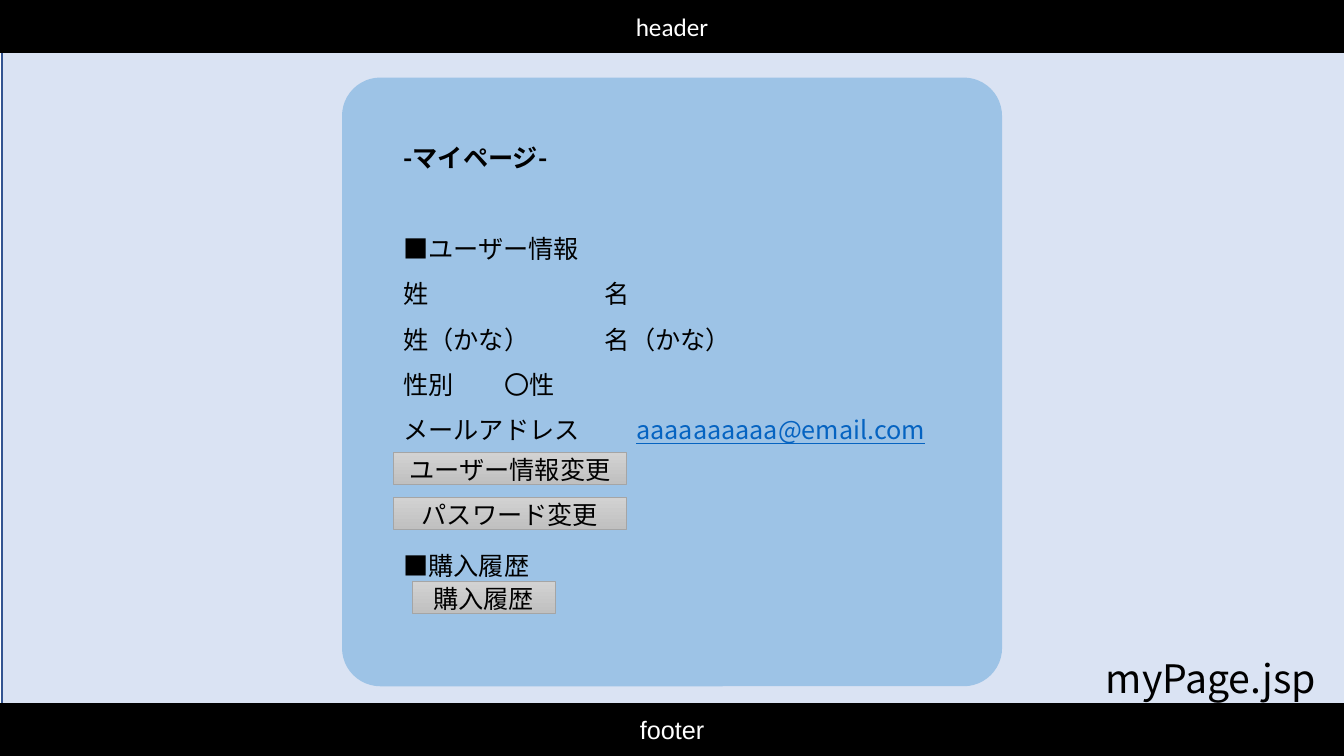
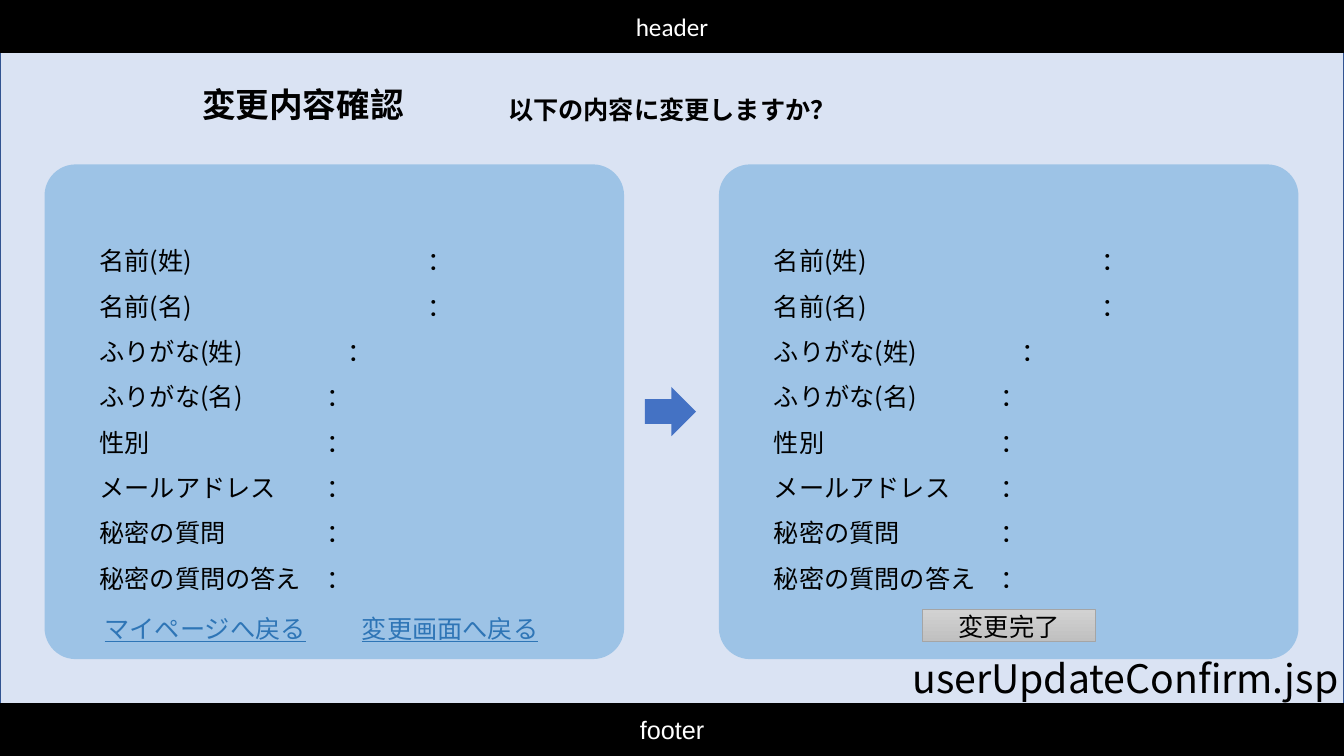
"""Build two screen mock-ups: the member page and the update confirmation page."""
from dataclasses import dataclass

from lxml import etree
from pptx import Presentation
from pptx.dml.color import RGBColor
from pptx.enum.shapes import MSO_SHAPE
from pptx.enum.text import MSO_ANCHOR, PP_ALIGN
from pptx.oxml.ns import qn
from pptx.util import Pt

RECT = MSO_SHAPE.RECTANGLE
ROUNDED = MSO_SHAPE.ROUNDED_RECTANGLE
ARROW = MSO_SHAPE.RIGHT_ARROW
LEFT, CENTER = PP_ALIGN.LEFT, PP_ALIGN.CENTER
TOP, MIDDLE = MSO_ANCHOR.TOP, MSO_ANCHOR.MIDDLE

BLACK, WHITE = "000000", "FFFFFF"
BACKDROP, BACKDROP_LINE, PANEL = "DAE3F3", "325491", "9DC3E6"
BUTTON_STOPS, BUTTON_LINE = ("D2D2D2", "C0C0C0"), "A5A5A5"
MAIL_LINK, PAGE_LINK, ACCENT = "0563C1", "2E75B6", "4472C4"
FONT = "Noto Sans CJK JP"

WIDTH, HEIGHT, BAND = 960, 540, 37.5
BODY = 18
ROW_PITCH = 32.4
BUTTON_HEIGHT = 23


@dataclass(frozen=True)
class Box:
    x: float
    y: float
    w: float
    h: float


@dataclass(frozen=True)
class Style:
    size: float = BODY
    color: str = BLACK
    bold: bool = False
    underline: bool = False
    font: str = FONT


@dataclass(frozen=True)
class Row:
    label: str
    tab: float = 0
    value: str = ""
    style: Style = Style()
    value_style: Style = Style()
    before: float = 0


@dataclass(frozen=True)
class Label:
    text: str
    box: Box
    style: Style = Style()
    align: PP_ALIGN = CENTER


PLAIN = Style()
HEADING = Style(bold=True)
TITLE = Style(size=24, bold=True)
FILE_NAME = Style(size=28)
LINK = Style(color=PAGE_LINK, underline=True)

PROFILE_ROWS = (
    Row("-マイページ-", style=HEADING),
    Row("■ユーザー情報", before=ROW_PITCH),
    Row("姓", 144, "名"),
    Row("姓（かな）", 144, "名（かな）"),
    Row("性別", 72, "〇性"),
    Row("メールアドレス", 166.5, "aaaaaaaaaa@email.com",
        value_style=Style(color=MAIL_LINK, underline=True)),
    Row("■購入履歴", before=2 * ROW_PITCH),
)
CONFIRM_ROWS = tuple(
    Row(label, tab, "：")
    for label, tab in (
        ("名前(姓)", 234),
        ("名前(名)", 234),
        ("ふりがな(姓)", 177),
        ("ふりがな(名)", 162),
        ("性別", 162),
        ("メールアドレス", 162),
        ("秘密の質問", 162),
        ("秘密の質問の答え", 162),
    )
)
PROFILE_BUTTONS = (
    Label("ユーザー情報変更", Box(281, 323.2, 166.5, BUTTON_HEIGHT)),
    Label("パスワード変更", Box(281, 355.2, 166.5, BUTTON_HEIGHT)),
    Label("購入履歴", Box(294.5, 415.4, 102, BUTTON_HEIGHT)),
)
CONFIRM_LABELS = (
    Label("変更内容確認", Box(31.7, 56.4, 369.4, 36), TITLE),
    Label("以下の内容に変更しますか？", Box(354, 63.5, 252, 29), HEADING),
    Label("マイページへ戻る", Box(64, 434.2, 165, 29), LINK),
    Label("変更画面へ戻る", Box(239, 434.2, 165, 29), LINK),
)


def rgb(value: str) -> RGBColor:
    """Turn a hex string into a colour."""
    return RGBColor.from_string(value)


def place(box: Box) -> tuple:
    """Give a box as lengths in points."""
    return Pt(box.x), Pt(box.y), Pt(box.w), Pt(box.h)


def format_run(r, style: Style) -> None:
    """Apply a text style to a run, East Asian font included."""
    font = r.font
    font.name, font.size = style.font, Pt(style.size)
    font.bold, font.underline = style.bold, style.underline
    font.color.rgb = rgb(style.color)
    ea = etree.Element(qn("a:ea"), typeface=style.font)
    r._r.get_or_add_rPr().find(qn("a:latin")).addnext(ea)


def add_tab(p, position: float) -> None:
    """Add a left tab stop to a paragraph."""
    tabs = etree.SubElement(p._p.get_or_add_pPr(), qn("a:tabLst"))
    etree.SubElement(tabs, qn("a:tab"), pos=str(Pt(position)), algn="l")


def add_figure(s, kind: MSO_SHAPE, box: Box, fill: str, line: str = ""):
    """Draw a flat shape with an optional outline."""
    sp = s.shapes.add_shape(kind, *place(box))
    sp.shadow.inherit = False
    sp.fill.solid()
    sp.fill.fore_color.rgb = rgb(fill)
    if line:
        sp.line.color.rgb = rgb(line)
        sp.line.width = Pt(1)
    else:
        sp.line.fill.background()
    return sp


def set_caption(sp, text: str, style: Style) -> None:
    """Centre one line of text in a shape."""
    tf = sp.text_frame
    tf.text, tf.vertical_anchor = text, MIDDLE
    p = tf.paragraphs[0]
    p.alignment = CENTER
    format_run(p.runs[0], style)


def add_panel(s, box: Box) -> None:
    """Draw a rounded content panel."""
    add_figure(s, ROUNDED, box, PANEL).adjustments[0] = 0.063


def add_button(s, label: Label) -> None:
    """Draw a grey gradient button."""
    sp = add_figure(s, RECT, label.box, BUTTON_STOPS[0], BUTTON_LINE)
    sp.line.width = Pt(0.5)
    sp.fill.gradient()
    sp.fill.gradient_angle = 270
    for stop, color in zip(sp.fill.gradient_stops, BUTTON_STOPS):
        stop.color.rgb = rgb(color)
    set_caption(sp, label.text, label.style)
    tf = sp.text_frame
    tf.margin_top = tf.margin_bottom = 0
    tf.paragraphs[0].line_spacing = Pt(BUTTON_HEIGHT)


def add_text(s, box: Box):
    """Add a wrapping text box and return its frame."""
    tf = s.shapes.add_textbox(*place(box)).text_frame
    tf.word_wrap, tf.vertical_anchor = True, TOP
    return tf


def add_label(s, label: Label):
    """Add one line of free text and return its frame."""
    tf = add_text(s, label.box)
    tf.text = label.text
    p = tf.paragraphs[0]
    p.alignment = label.align
    p.line_spacing = Pt(1.2 * label.style.size)
    format_run(p.runs[0], label.style)
    return tf


def add_rows(s, box: Box, rows: tuple[Row, ...]) -> None:
    """Write label and value rows aligned by tab stops."""
    tf = add_text(s, box)
    for i, row in enumerate(rows):
        p = tf.add_paragraph() if i else tf.paragraphs[0]
        p.text = f"{row.label}\t" if row.value else row.label
        p.line_spacing = Pt(ROW_PITCH)
        if row.before:
            p.space_before = Pt(row.before)
        format_run(p.runs[0], row.style)
        if row.value:
            add_tab(p, row.tab)
            r = p.add_run()
            r.text = row.value
            format_run(r, row.value_style)


def add_page(prs, panels: tuple[Box, ...], file_name: str, name_left: float,
             backdrop_left: float = 0):
    """Add a slide with backdrop, panels, header, footer and file name."""
    s = prs.slides.add_slide(prs.slide_layouts[6])
    backdrop = Box(backdrop_left, BAND, WIDTH, HEIGHT - 2 * BAND)
    add_figure(s, RECT, backdrop, BACKDROP, BACKDROP_LINE)
    for panel in panels:
        add_panel(s, panel)
    for text, y, font in (("header", 0, "Calibri"), ("footer", HEIGHT - BAND, "Arial")):
        band = add_figure(s, RECT, Box(0, y, WIDTH, BAND), BLACK, BLACK)
        set_caption(band, text, Style(color=WHITE, font=font))
    box = Box(name_left, 463.6, WIDTH - name_left, 38)
    add_label(s, Label(file_name, box, FILE_NAME, LEFT)).margin_right = 0
    return s


def build_profile(prs) -> None:
    """Build the member page."""
    s = add_page(prs, (Box(244.3, 55.4, 471.5, 434.8),), "myPage.jsp", 782.8, 1.4)
    add_rows(s, Box(281, 87.4, 393, 367), PROFILE_ROWS)
    for button in PROFILE_BUTTONS:
        add_button(s, button)


def build_confirm(prs) -> None:
    """Build the update confirmation page."""
    panels = tuple(Box(x, 117.4, 414, 353.4) for x in (31.8, 513.5))
    s = add_page(prs, panels, "userUpdateConfirm.jsp", 644.6)
    for panel in panels:
        add_rows(s, Box(panel.x + 32.2, 161, 350, 269), CONFIRM_ROWS)
    add_figure(s, ARROW, Box(460.6, 276.4, 36.6, 35.2), ACCENT)
    add_button(s, Label("変更完了", Box(658.8, 435.4, 124, BUTTON_HEIGHT)))
    for label in CONFIRM_LABELS:
        add_label(s, label)


def main() -> None:
    """Build and save the presentation."""
    prs = Presentation()
    prs.slide_width, prs.slide_height = Pt(WIDTH), Pt(HEIGHT)
    build_profile(prs)
    build_confirm(prs)
    prs.save("out.pptx")


if __name__ == "__main__":
    main()
